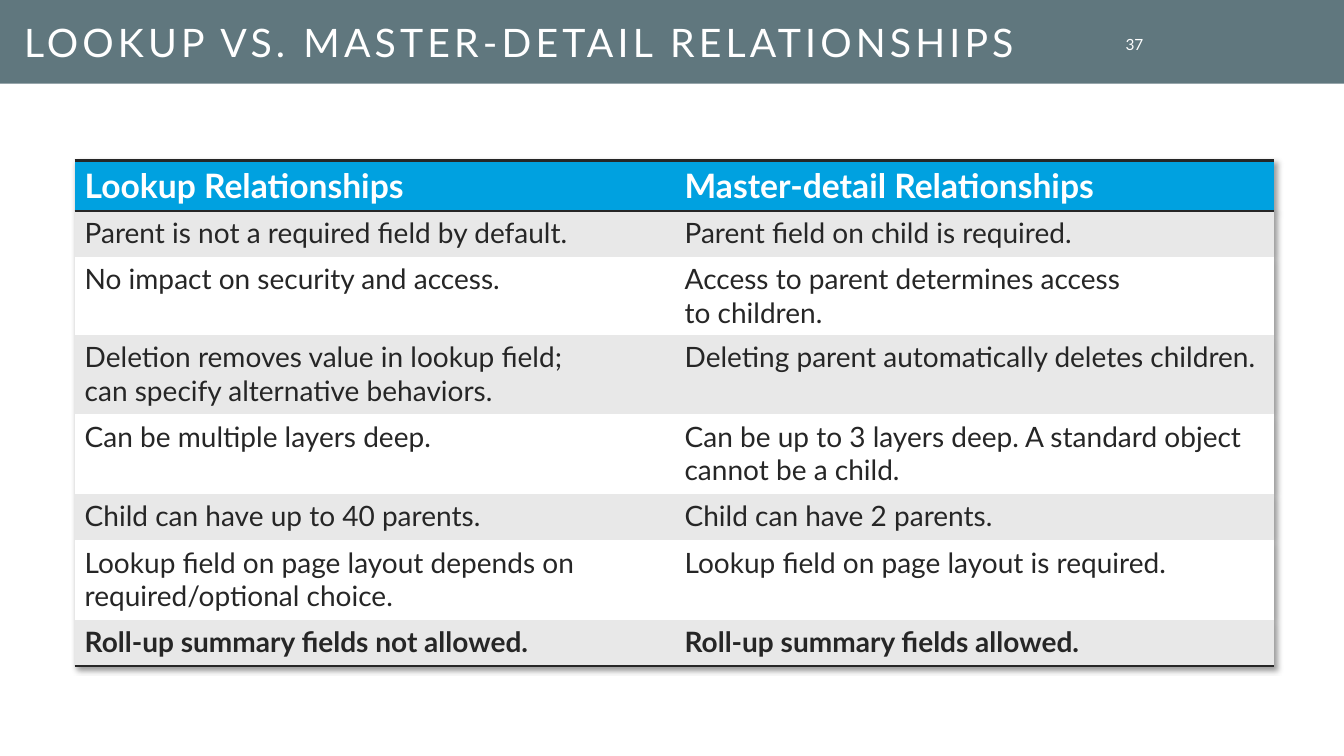
from lxml import etree
from pptx import Presentation
from pptx.dml.color import RGBColor
from pptx.enum.shapes import MSO_SHAPE
from pptx.enum.text import MSO_ANCHOR, PP_ALIGN
from pptx.oxml import parse_xml
from pptx.oxml.ns import nsdecls, qn
from pptx.util import Inches, Pt

TITLE = "LOOKUP VS. MASTER-DETAIL RELATIONSHIPS"
PAGE = "37"
ROWS = [
    ("Lookup Relationships", "Master-detail Relationships"),
    ("Parent is not a required field by default.", "Parent field on child is required."),
    ("No impact on security and access.", "Access to parent determines access\vto children."),
    ("Deletion removes value in lookup field;\vcan specify alternative behaviors.",
     "Deleting parent automatically deletes children."),
    ("Can be multiple layers deep.",
     "Can be up to 3 layers deep. A standard object cannot be a child."),
    ("Child can have up to 40 parents.", "Child can have 2 parents."),
    ("Lookup field on page layout depends on required/optional choice.",
     "Lookup field on page layout is required."),
    ("Roll-up summary fields not allowed.", "Roll-up summary fields allowed."),
]
ROW_HEIGHTS = [0.5, 0.46, 0.77, 0.79, 0.79, 0.46, 0.79, 0.46]
COL_WIDTH = 5.95

FONT = "Lato"
SLATE = RGBColor(0x60, 0x77, 0x7E)
BLUE = RGBColor(0x00, 0xA1, 0xE0)
GREY = RGBColor(0xE8, 0xE8, 0xE8)
WHITE = RGBColor(0xFF, 0xFF, 0xFF)
INK = RGBColor(0x26, 0x26, 0x26)
MIDDLE = MSO_ANCHOR.MIDDLE
LEFT, RIGHT = PP_ALIGN.LEFT, PP_ALIGN.RIGHT
PLAIN_TABLE = "{2D5ABB26-0587-4C30-8999-92F81FD0307C}"
SHADOW = (
    f'<a:effectLst {nsdecls("a")}><a:outerShdw blurRad="50800" dist="38100" dir="2700000" '
    'algn="tl" rotWithShape="0"><a:srgbClr val="000000"><a:alpha val="40000"/></a:srgbClr>'
    "</a:outerShdw></a:effectLst>"
)


def style(run, size, color, bold=False):
    run.font.name = FONT
    run.font.size = Pt(size)
    run.font.bold = bold
    run.font.color.rgb = color


def add_label(slide, box, text, size, align, top_inset=0, bottom_inset=0):
    tf = slide.shapes.add_textbox(*map(Inches, box)).text_frame
    tf.word_wrap = True
    tf.vertical_anchor = MIDDLE
    tf.margin_top, tf.margin_bottom = Inches(top_inset), Inches(bottom_inset)
    p = tf.paragraphs[0]
    p.text = text
    p.alignment = align
    style(p.runs[0], size, WHITE)
    return p


def add_border(cell, side):
    ln = etree.SubElement(cell._tc.get_or_add_tcPr(), qn(f"a:{side}"), w=str(Pt(2)))
    fill = etree.SubElement(ln, qn("a:solidFill"))
    etree.SubElement(fill, qn("a:srgbClr"), val=str(INK))


def add_comparison(slide):
    frame = slide.shapes.add_table(len(ROWS), 2, Inches(0.74), Inches(1.59),
                                   Inches(2 * COL_WIDTH), Inches(sum(ROW_HEIGHTS)))
    table = frame.table
    props = table._tbl.tblPr
    props.find(qn("a:tableStyleId")).text = PLAIN_TABLE
    props.insert(0, parse_xml(SHADOW))
    for column in table.columns:
        column.width = Inches(COL_WIDTH)
    last = len(ROWS) - 1
    for i, texts in enumerate(ROWS):
        table.rows[i].height = Inches(ROW_HEIGHTS[i])
        for j, text in enumerate(texts):
            cell = table.cell(i, j)
            if i == 0:
                add_border(cell, "lnT")
            if i in (0, last):
                add_border(cell, "lnB")
            cell.fill.solid()
            cell.fill.fore_color.rgb = BLUE if i == 0 else GREY if i % 2 else WHITE
            cell.text_frame.text = text
            for r in cell.text_frame.paragraphs[0].runs:
                style(r, 24 if i == 0 else 20, WHITE if i == 0 else INK, i in (0, last))


def main():
    prs = Presentation()
    prs.slide_width, prs.slide_height = Inches(13.33), Inches(7.5)
    slide = prs.slides.add_slide(prs.slide_layouts[6])

    band = slide.shapes.add_shape(MSO_SHAPE.RECTANGLE, 0, 0, prs.slide_width, Inches(0.83))
    band.shadow.inherit = False
    band.fill.solid()
    band.fill.fore_color.rgb = SLATE
    band.line.fill.background()

    title = add_label(slide, (0.14, 0, 10.77, 0.82), TITLE, 28, LEFT, 0.15, 0.05)
    title.line_spacing = 0.8
    title.runs[0].font._element.set("spc", "300")
    add_label(slide, (10.91, 0.33, 0.53, 0.22), PAGE, 11, RIGHT)

    add_comparison(slide)
    prs.save("out.pptx")


if __name__ == "__main__":
    main()
